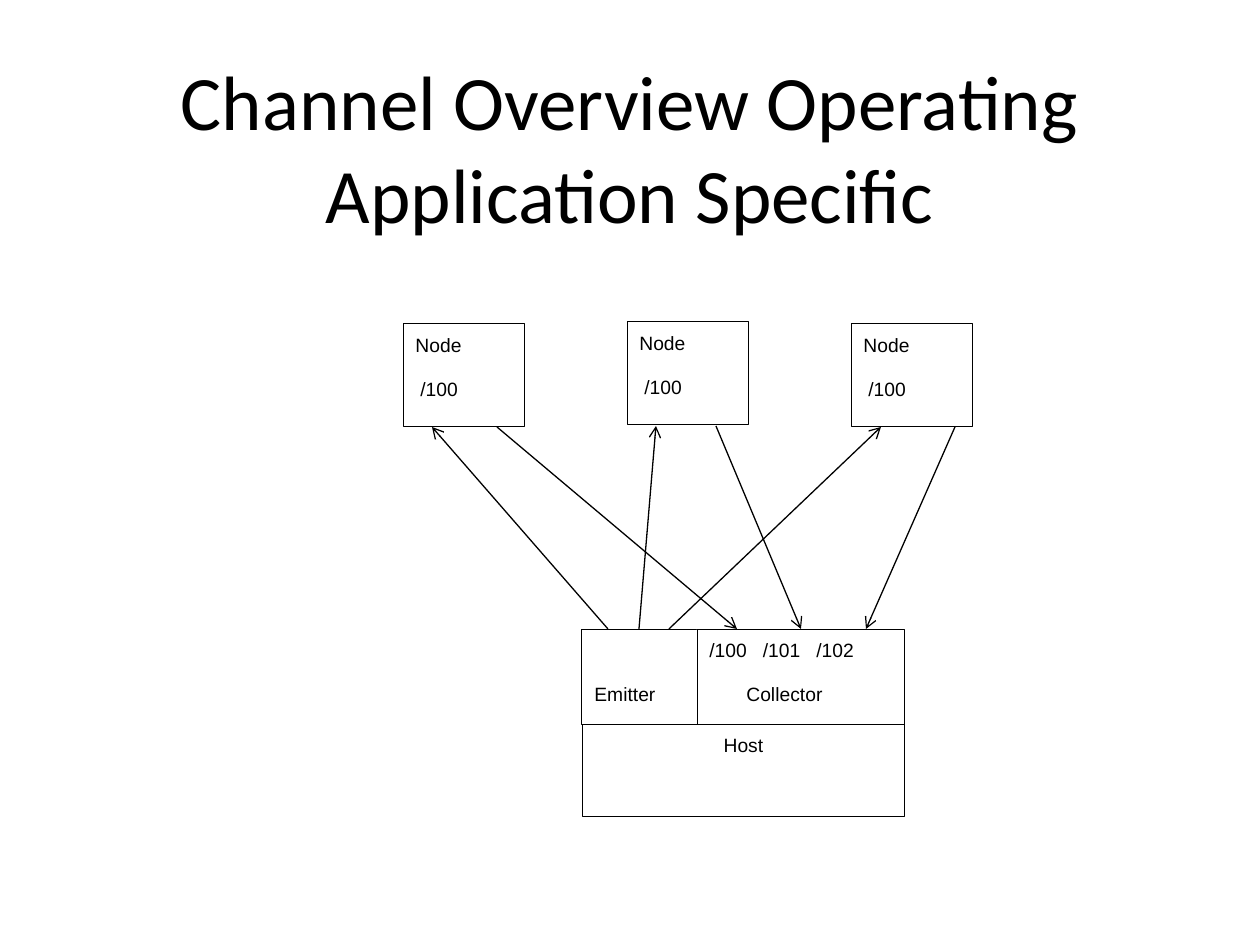
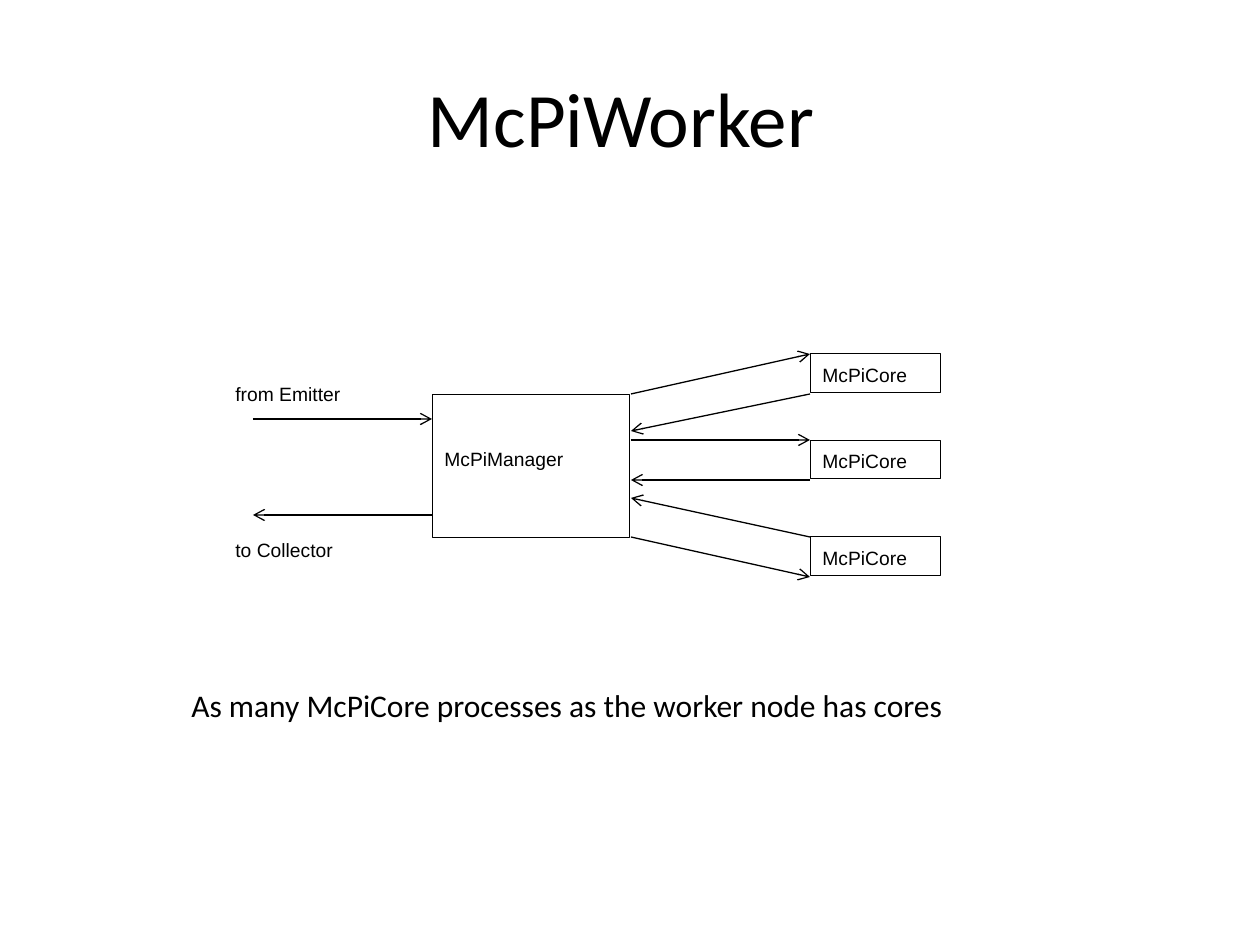
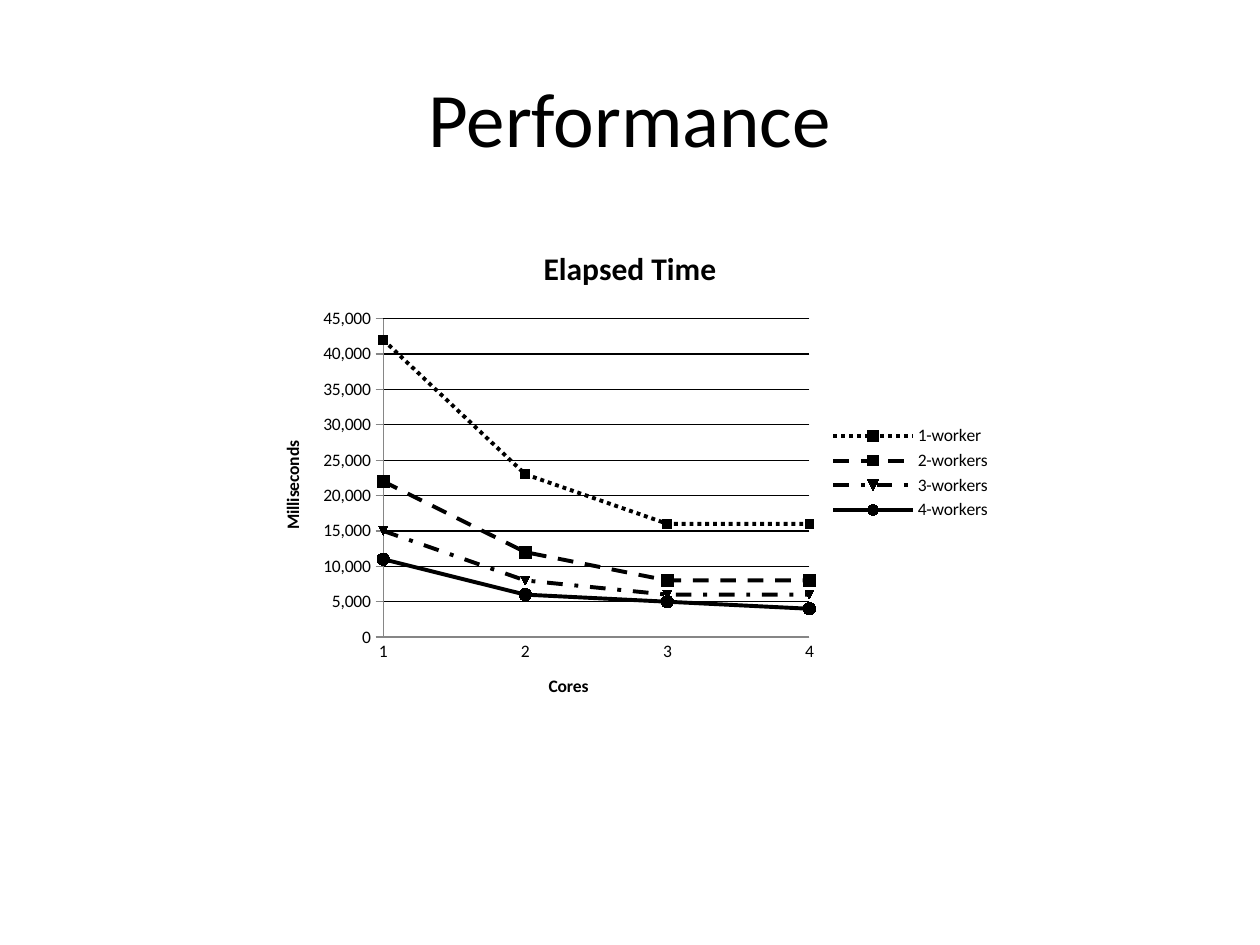
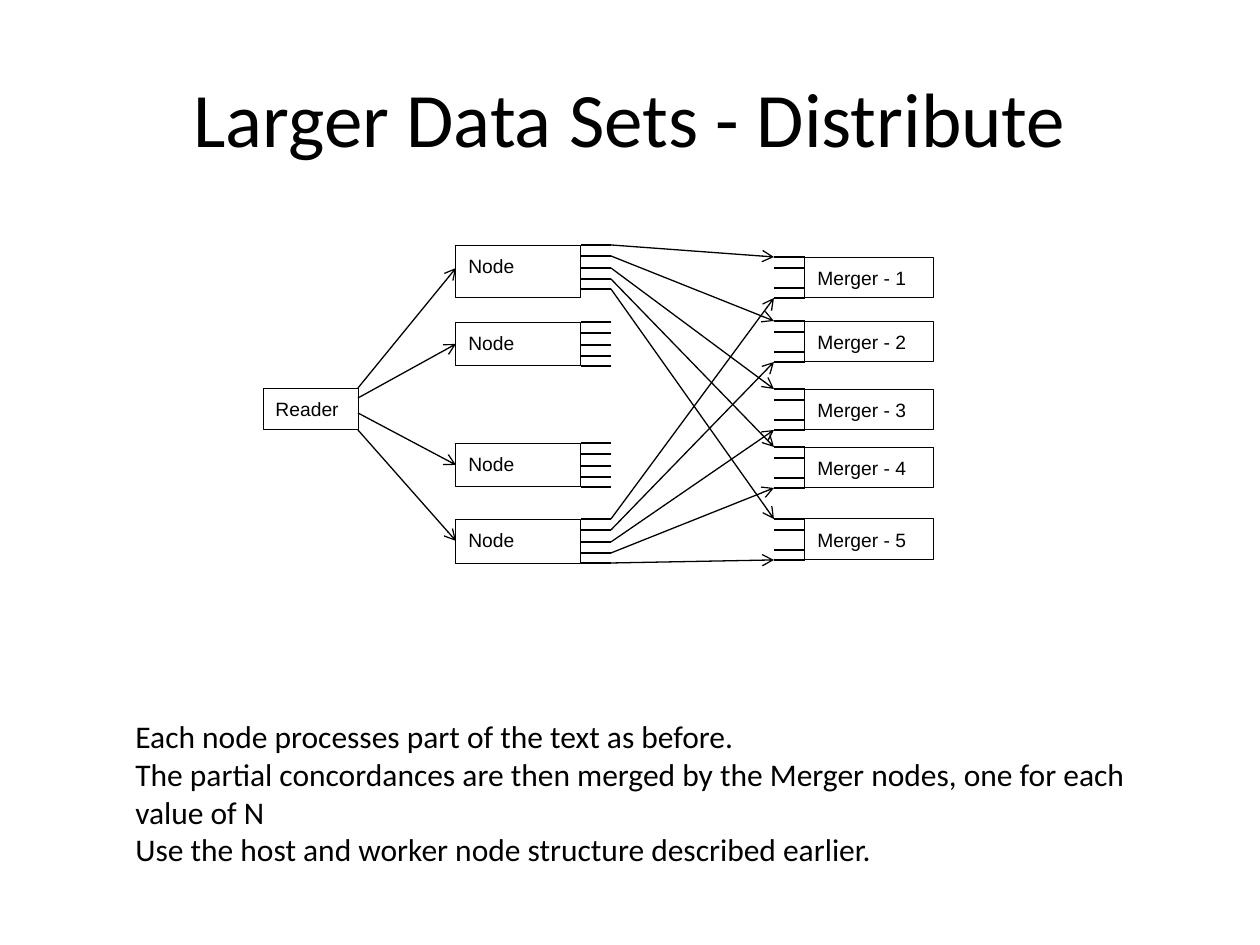
from lxml.etree import SubElement
from pptx import Presentation
from pptx.chart.data import CategoryChartData
from pptx.dml.color import RGBColor
from pptx.enum.chart import XL_CHART_TYPE, XL_LEGEND_POSITION, XL_MARKER_STYLE, XL_TICK_MARK
from pptx.enum.dml import MSO_LINE
from pptx.enum.shapes import MSO_CONNECTOR, MSO_SHAPE
from pptx.enum.text import MSO_ANCHOR, PP_ALIGN
from pptx.oxml import parse_xml
from pptx.oxml.ns import nsdecls, qn
from pptx.util import Emu, Pt

PIXEL = 914400 // 126
BLACK = RGBColor(0x00, 0x00, 0x00)
WHITE = RGBColor(0xFF, 0xFF, 0xFF)
GREY = RGBColor(0x86, 0x86, 0x86)
SECOND_LINE = 50  # top margin that moves a label down to the second line


def add_box(slide, area, lines, outlined=True, diagram=True, size=11,
            align=PP_ALIGN.LEFT, top_margin=6):
    """Add a diagram box, or a plain text box, with one paragraph per line."""
    left, top, width, height = (Emu(value * PIXEL) for value in area)
    if diagram:
        box = slide.shapes.add_shape(MSO_SHAPE.RECTANGLE, left, top, width, height)
        box.shadow.inherit = False
        box.fill.solid()
        box.fill.fore_color.rgb = WHITE
        if outlined:
            box.line.color.rgb = BLACK
            box.line.width = Pt(0.5)
        else:
            box.line.fill.background()
    else:
        box = slide.shapes.add_textbox(left, top, width, height)
    frame = box.text_frame
    frame.word_wrap = True
    frame.vertical_anchor = MSO_ANCHOR.TOP
    frame.margin_top = Emu(top_margin * PIXEL)
    for index, line in enumerate(lines):
        para = frame.add_paragraph() if index else frame.paragraphs[0]
        para.alignment = align
        if diagram:
            para.line_spacing = 1.15
            para.space_after = Pt(10)
        for part, text in enumerate(line.split("\n")):
            if part:
                para.add_line_break()
            span = para.add_run()
            span.text = text
            span.font.size = Pt(size)
            span.font.name = "Arial" if diagram else "Calibri"
            span.font.color.rgb = BLACK
    return box


def connect(slide, start, end, arrow=True):
    """Draw a straight line, with an open arrowhead at its end if wanted."""
    points = [Emu(value * PIXEL) for value in (*start, *end)]
    connector = slide.shapes.add_connector(MSO_CONNECTOR.STRAIGHT, *points)
    connector.line.color.rgb = BLACK
    connector.line.width = Pt(0.75)
    if arrow:
        SubElement(connector.line._get_or_add_ln(), qn("a:tailEnd"), type="arrow")
    SubElement(connector._element.spPr, qn("a:effectLst"))


deck = Presentation()
deck.slide_width = Emu(1260 * PIXEL)
deck.slide_height = Emu(945 * PIXEL)

# Slides and their titles
titles = [
    ("Channel Overview Operating\nApplication Specific", 217),
    ("McPiWorker ", 158),
    ("Performance", 158),
    ("Larger Data Sets - Distribute", 158),
]
pages = []
for title, height in titles:
    page = deck.slides.add_slide(deck.slide_layouts[6])
    box = add_box(page, (63, 38, 1134, height), [title], diagram=False, size=44,
                  align=PP_ALIGN.CENTER)
    box.text_frame.vertical_anchor = MSO_ANCHOR.MIDDLE
    pages.append(page)
channel_page, worker_page, performance_page, distribute_page = pages

# Channel overview
add_box(channel_page, (582, 724, 323, 92), ["Host"], align=PP_ALIGN.CENTER)
add_box(channel_page, (582, 629, 116, 95), ["Emitter"], top_margin=SECOND_LINE)
collector = add_box(channel_page, (697, 629, 208, 95),
                    ["/100\t/101\t/102", "Collector"])
ports, name = collector.text_frame.paragraphs
tab_list = SubElement(ports._p.get_or_add_pPr(), qn("a:tabLst"))
for stop in (1, 2):
    SubElement(tab_list, qn("a:tab"), pos=str(int(stop * 53.5 * PIXEL)), algn="l")
name._p.get_or_add_pPr().set("marL", str(37 * PIXEL))

for left, top in [(403, 324), (627, 322), (851, 324)]:
    node = add_box(channel_page, (left, top, 122, 103), ["Node", "/100"])
    node.text_frame.paragraphs[1]._p.get_or_add_pPr().set("marL", str(5 * PIXEL))

for start, end in [
    ((608, 629), (432, 427)), ((639, 629), (656, 426)), ((669, 629), (881, 427)),
    ((497, 427), (737, 629)), ((716, 426), (801, 629)), ((955, 427), (866, 629)),
]:
    connect(channel_page, start, end)

# Worker structure
add_box(worker_page, (432, 394, 198, 144), ["McPiManager"], top_margin=SECOND_LINE)
for top in (354, 440, 537):
    add_box(worker_page, (810, top, 131, 39), ["McPiCore"])
for sent, core_in, core_out, received in [
    (394, 354, 394, 431), (440, 440, 480, 480), (537, 577, 537, 498),
]:
    connect(worker_page, (631, sent), (810, core_in))
    connect(worker_page, (810, core_out), (631, received))
connect(worker_page, (253, 419), (432, 419))
connect(worker_page, (432, 515), (253, 515))
add_box(worker_page, (223, 373, 164, 38), ["from Emitter"], outlined=False)
add_box(worker_page, (223, 529, 151, 39), ["to Collector"], outlined=False)
add_box(worker_page, (179, 680, 785, 50),
        ["As many McPiCore processes as the worker node has cores"],
        diagram=False, size=18)

# Performance chart
series_styles = [
    ("1-worker", (42000, 23000, 16000, 16000), MSO_LINE.ROUND_DOT,
     XL_MARKER_STYLE.AUTOMATIC, 5),
    ("2-workers", (22000, 12000, 8000, 8000), MSO_LINE.DASH,
     XL_MARKER_STYLE.SQUARE, 7),
    ("3-workers", (15000, 8000, 6000, 6000), MSO_LINE.DASH_DOT,
     XL_MARKER_STYLE.AUTOMATIC, 5),
    ("4-workers", (11000, 6000, 5000, 4000), MSO_LINE.SOLID,
     XL_MARKER_STYLE.CIRCLE, 7),
]
chart_data = CategoryChartData(number_format="#,##0")
chart_data.categories = ["1", "2", "3", "4"]
for name, values, *_ in series_styles:
    chart_data.add_series(name, values)
area = [Emu(value * PIXEL) for value in (256, 224, 748, 498)]
chart = performance_page.shapes.add_chart(
    XL_CHART_TYPE.LINE_MARKERS, *area, chart_data).chart
chart.font.size = Pt(10)
chart.font.name = "Calibri"
chart.font.color.rgb = BLACK
chart.has_legend = True
chart.legend.position = XL_LEGEND_POSITION.RIGHT
chart.legend.include_in_layout = False
chart.plots[0].vary_by_categories = False

for series, (_, _, dash, marker, size) in zip(chart.plots[0].series, series_styles):
    series.smooth = False
    series.format.line.color.rgb = BLACK
    series.format.line.width = Pt(2.25)
    series.format.line.dash_style = dash
    series.marker.style = marker
    series.marker.size = size
    series.marker.format.fill.solid()
    series.marker.format.fill.fore_color.rgb = BLACK
    series.marker.format.line.color.rgb = BLACK

categories, values = chart.category_axis, chart.value_axis
for axis in (categories, values):
    axis.format.line.color.rgb = GREY
    axis.minor_tick_mark = XL_TICK_MARK.NONE
categories.major_tick_mark = XL_TICK_MARK.NONE
categories.has_major_gridlines = False
values.major_tick_mark = XL_TICK_MARK.OUTSIDE
values.minimum_scale, values.maximum_scale, values.major_unit = 0, 45000, 5000
values.tick_labels.number_format = "#,##0"
values.tick_labels.number_format_is_linked = False
values.major_gridlines.format.line.color.rgb = BLACK
values.major_gridlines.format.line.width = Pt(0.75)
values._element.find(qn("c:majorUnit")).addprevious(
    parse_xml(f'<c:crossBetween {nsdecls("c")} val="midCat"/>'))

chart.has_title = True
for heading, text, size in [
    (chart.chart_title, "Elapsed Time", 18),
    (categories.axis_title, "Cores", 10),
    (values.axis_title, "Milliseconds", 10),
]:
    span = heading.text_frame.paragraphs[0].add_run()
    span.text = text
    span.font.size = Pt(size)
    span.font.bold = True
    span.font.name = "Calibri"
    span.font.color.rgb = BLACK
values.axis_title.text_frame._txBody.bodyPr.set("rot", "-5400000")

plot_area = chart._chartSpace.find(".//" + qn("c:plotArea"))
for old_layout in plot_area.findall(qn("c:layout")):
    plot_area.remove(old_layout)
plot_area.insert(0, parse_xml(
    f'<c:layout {nsdecls("c")}><c:manualLayout><c:layoutTarget val="inner"/>'
    '<c:xMode val="edge"/><c:yMode val="edge"/><c:x val="0.17"/><c:y val="0.19"/>'
    '<c:w val="0.57"/><c:h val="0.64"/></c:manualLayout></c:layout>'))

# Distribution to the mergers
node_tops = [245, 322, 443, 519]
node_heights = [53, 44, 44, 45]
node_ports = [0, 11, 23, 34, 44]
merger_tops = [257, 321, 389, 447, 519]
merger_ports = [0, 11, 31, 41]
reader_exits = [388, 398, 413, 430]
node_entries = [268, 344, 465, 541]

add_box(distribute_page, (263, 388, 95, 42), ["Reader"])
for top, height, leave, enter in zip(node_tops, node_heights, reader_exits, node_entries):
    add_box(distribute_page, (456, top, 125, height), ["Node"])
    connect(distribute_page, (358, leave), (456, enter))
    for port in node_ports:
        connect(distribute_page, (581, top + port), (611, top + port), arrow=False)
for number, (top, port) in enumerate(zip(merger_tops, node_ports), start=1):
    add_box(distribute_page, (805, top, 129, 41), [f"Merger - {number}"])
    for offset in merger_ports:
        connect(distribute_page, (774, top + offset), (805, top + offset), arrow=False)
    connect(distribute_page, (611, node_tops[0] + port), (774, top))
    connect(distribute_page, (611, node_tops[-1] + port), (774, top + merger_ports[-1]))
add_box(distribute_page, (123, 711, 1034, 165), [
    "Each node processes part of the text as before.",
    "The partial concordances are then merged by the Merger nodes, one for each",
    "value of N",
    "Use the host and worker node structure described earlier.",
], diagram=False, size=18)

deck.save("out.pptx")
